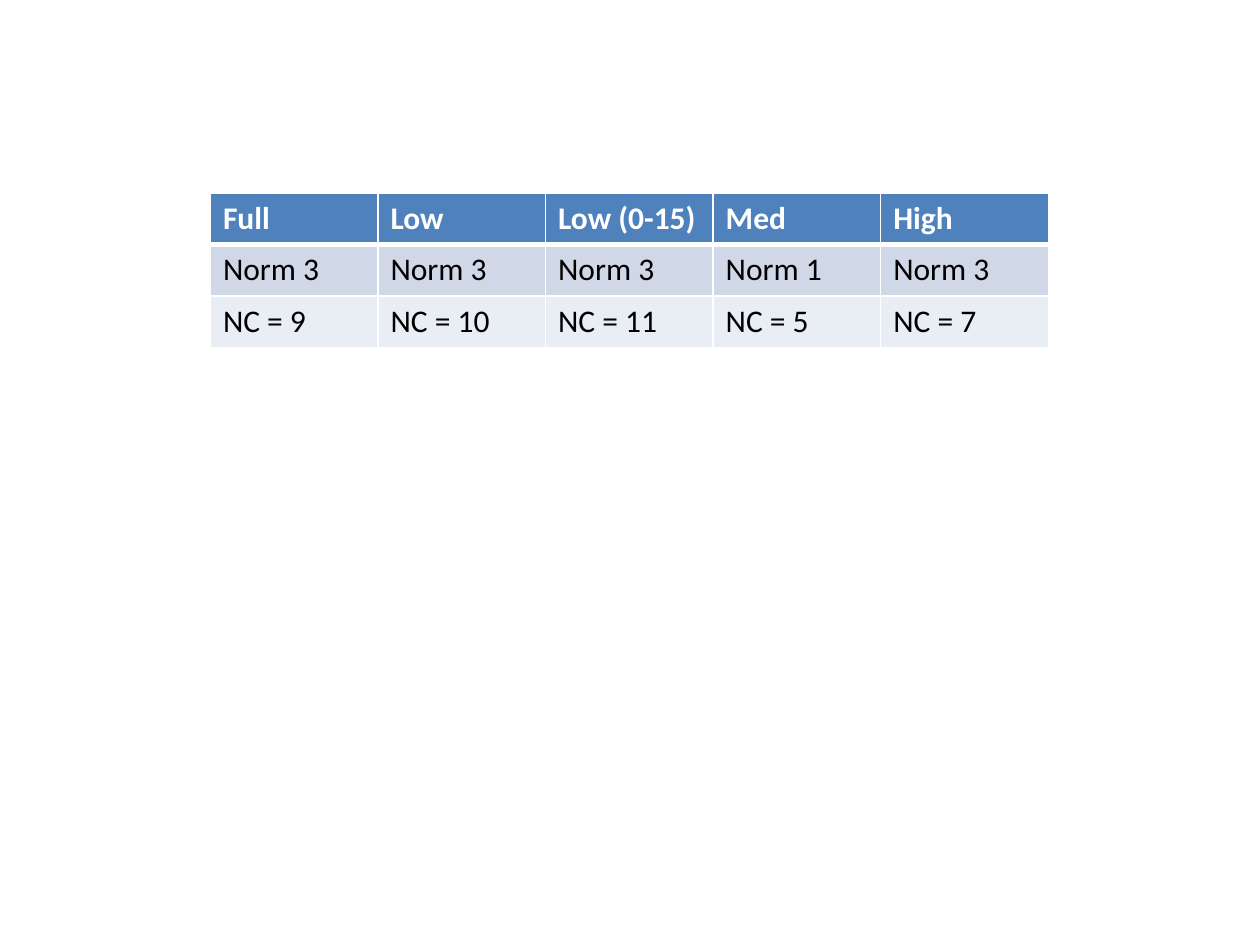
from lxml import etree
from pptx import Presentation
from pptx import util as u
from pptx.dml.color import RGBColor
from pptx.oxml import ns

HEADER = ["Full", "Low", "Low (0-15)", "Med", "High"]
NORMS = ["Norm 3", "Norm 3", "Norm 3", "Norm 1", "Norm 3"]
COMPONENTS = ["NC = 9", "NC = 10", "NC = 11", "NC = 5", "NC = 7"]


def color(hex_value):
    return RGBColor.from_string(hex_value)


def write_text(frame, content, font="Calibri", size=18, fill="000000", bold=False):
    run = frame.paragraphs[0].add_run()
    run.text = content
    run.font.name = font
    run.font.size = u.Pt(size)
    run.font.bold = bold
    run.font.color.rgb = color(fill)


class SlideBuilder:
    """Holds the table style and the current slide."""

    row_fills = ["4F81BD", "D0D8E8", "E9EDF4"]
    header_text = "FFFFFF"
    body_text = "000000"
    border = "FFFFFF"
    thin, thick = 1, 3

    def __init__(self, slide):
        self.slide = slide

    def add_border(self, cell, side, width):
        properties = cell._tc.get_or_add_tcPr()
        line = etree.SubElement(properties, ns.qn(f"a:ln{side}"), w=str(u.Pt(width)))
        solid = etree.SubElement(line, ns.qn("a:solidFill"))
        etree.SubElement(solid, ns.qn("a:srgbClr"), val=self.border)

    def add_table(self, rows, left, top, column_width, row_height):
        row_count, column_count = len(rows), len(rows[0])
        table = self.slide.shapes.add_table(
            row_count, column_count, u.Inches(left), u.Inches(top),
            u.Inches(column_width * column_count),
            u.Inches(row_height * row_count)).table
        for column in table.columns:
            column.width = u.Inches(column_width)
        for index, values in enumerate(rows):
            table.rows[index].height = u.Inches(row_height)
            is_header = index == 0
            # The line below the header is thick, all others are thin
            widths = {"L": self.thin, "R": self.thin,
                      "T": self.thick if index == 1 else self.thin,
                      "B": self.thick if is_header else self.thin}
            for cell, value in zip(table.rows[index].cells, values):
                for side, width in widths.items():
                    self.add_border(cell, side, width)
                cell.fill.solid()
                cell.fill.fore_color.rgb = color(self.row_fills[index])
                write_text(cell.text_frame, value, bold=is_header,
                           fill=self.header_text if is_header else self.body_text)


def main():
    presentation = Presentation()
    presentation.slide_width = u.Inches(10)
    presentation.slide_height = u.Inches(7.5)
    slide = presentation.slides.add_slide(presentation.slide_layouts[6])

    # Table of norms and component counts
    builder = SlideBuilder(slide)
    builder.add_table([HEADER, NORMS, COMPONENTS], left=1.67, top=1.53,
                      column_width=1.33, row_height=0.41)

    presentation.save("out.pptx")


if __name__ == "__main__":
    main()
